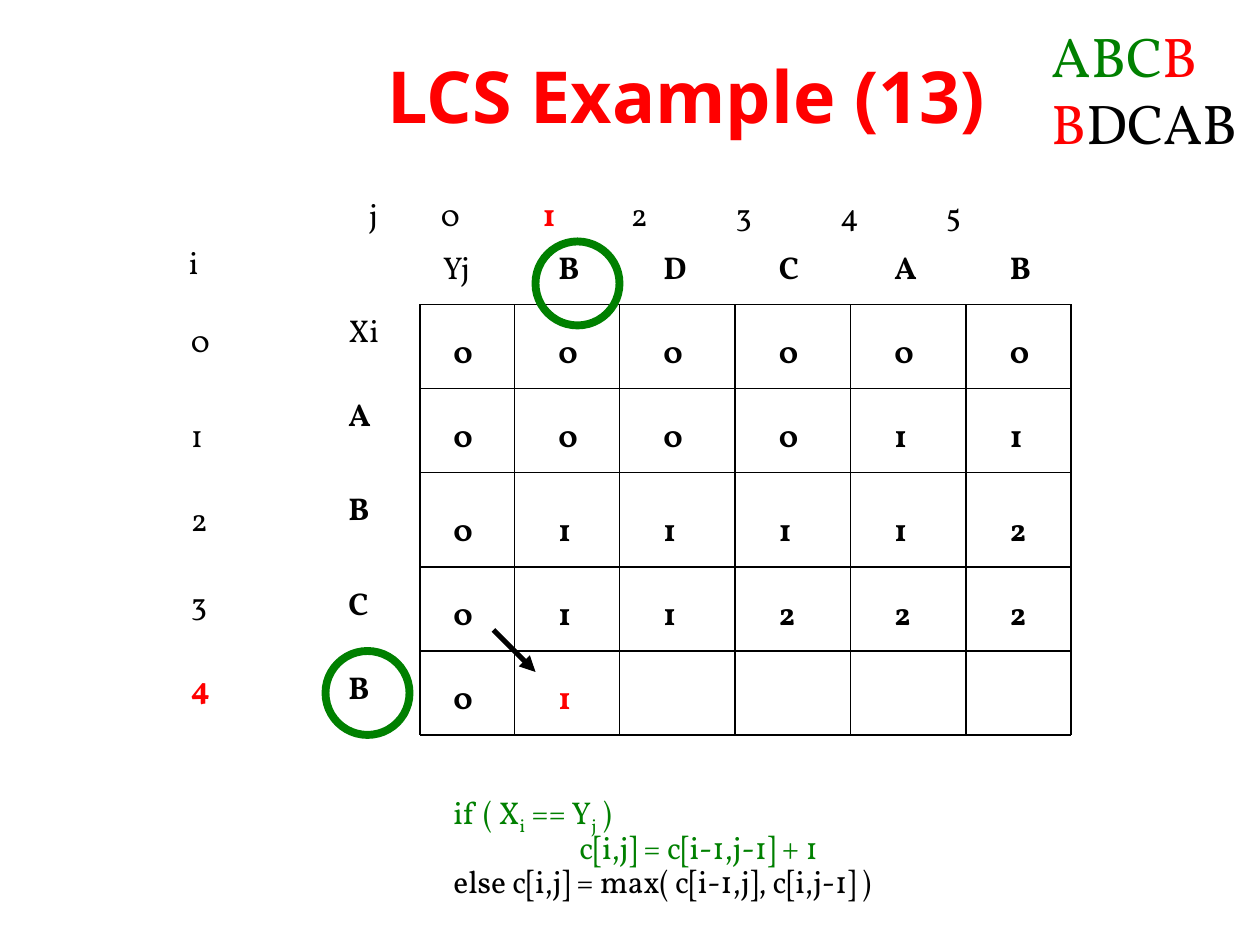
from lxml.etree import SubElement
from pptx import Presentation
from pptx.dml.color import RGBColor
from pptx.enum.shapes import MSO_CONNECTOR, MSO_SHAPE
from pptx.enum.text import MSO_ANCHOR, PP_ALIGN
from pptx.oxml.ns import qn
from pptx.util import Inches, Pt

BLACK = RGBColor(0, 0, 0)
RED = RGBColor(255, 0, 0)
GREEN = RGBColor(0, 128, 0)
BODY_FONT, TITLE_FONT = "Vollkorn", "Noto Sans"

TITLE = "LCS Example (13)"
STRINGS = [
    [("ABC", GREEN), ("B", RED)],
    [("B", RED), ("DCAB", BLACK)],
]
SCORES = ["000000", "000011", "011112", "011222", "01"]
CURRENT = (4, 1)
COLUMN_LETTERS = ["Yj", "B", "D", "C", "A", "B"]
ROW_LETTERS = ["Xi", "A", "B", "C", "B"]
COLUMN_INDEXES = ["j", "0", "1", "2", "3", "4", "5"]
INDEX_TABS = [0.57, 1.38, 2.08, 2.91, 3.74, 4.58]  # inches from the j
# Runs are (text, baseline shift); each line has an indent in inches.
RECURRENCE = [
    (2, GREEN, [("if ( X", 0), ("i", -25), (" == Y", 0), ("j", -25), (" )", 0)]),
    (3, GREEN, [("c[i,j] = c[i-1,j-1] + 1", 0)]),
    (2, BLACK, [("else c[i,j] = max( c[i-1,j], c[i,j-1] )", 0)]),
]

# The layout grid is in twelfths of an inch.
COLUMN_EDGES = [40, 49, 59, 70, 81, 92, 102]
ROW_EDGES = [29, 37, 45, 54, 62, 70]
COLUMN_TEXT = [42, 52, 62, 73, 84, 95]
ROW_TEXT = [bottom - 6 for bottom in ROW_EDGES[1:]]
ROW_LETTER_TOPS = [29, 37, 46, 55, 63]
ROW_INDEX_TOPS = [30, 39, 47, 55, 63]
HEADER_TOP = 23
INDEX_WIDTH, LETTER_WIDTH, PAIR_WIDTH = 4.4, 5.2, 6.4
CIRCLES = [(31, 62), (51, 23)]
ARROW = (47, 60, 51, 64)


def grid(*units):
    return [Inches(unit / 12) for unit in units]


def style(font, size=18, color=BLACK, bold=False, name=BODY_FONT):
    font.size, font.bold, font.name = Pt(size), bold, name
    font.color.rgb = color


def add_frame(slide, left, top, width, height):
    frame = slide.shapes.add_textbox(left, top, width, height).text_frame
    frame.word_wrap = True
    return frame


def add_label(slide, text, left, top, width=INDEX_WIDTH, **look):
    paragraph = add_frame(slide, *grid(left, top, width, 6)).paragraphs[0]
    paragraph.text = text
    style(paragraph.font, **look)


def add_line(slide, ends, width):
    line = slide.shapes.add_connector(MSO_CONNECTOR.STRAIGHT, *grid(*ends))
    line.line.color.rgb = BLACK
    line.line.width = Pt(width)
    SubElement(line._element.spPr, qn("a:effectLst"))
    return line


def add_scores(slide):
    for x in COLUMN_EDGES:
        add_line(slide, (x, ROW_EDGES[0], x, ROW_EDGES[-1]), 0.75)
    for y in ROW_EDGES:
        add_line(slide, (COLUMN_EDGES[0], y, COLUMN_EDGES[-1], y), 0.75)
    for r, scores in enumerate(SCORES):
        for c, score in enumerate(scores):
            add_label(slide, score, COLUMN_TEXT[c], ROW_TEXT[r], bold=True,
                      color=RED if (r, c) == CURRENT else BLACK)


def add_headers(slide):
    paragraph = add_frame(slide, Inches(2.83), Inches(1.5),
                          Inches(5.54), Inches(0.4)).paragraphs[0]
    for position, index in enumerate(COLUMN_INDEXES):
        run = paragraph.add_run()
        run.text = index if position == 0 else "\t" + index
        current = position == CURRENT[1] + 1
        style(run.font, color=RED if current else BLACK, bold=current)
    tabs = SubElement(paragraph._p.get_or_add_pPr(), qn("a:tabLst"))
    for stop in INDEX_TABS:
        SubElement(tabs, qn("a:tab"), pos=str(Inches(stop)), algn="l")

    for c, (letter, left) in enumerate(zip(COLUMN_LETTERS, COLUMN_TEXT)):
        add_label(slide, letter, left - (c == 0), HEADER_TOP,
                  LETTER_WIDTH if c else PAIR_WIDTH, bold=c > 0)
    add_label(slide, "i", 16.8, 22.56, 3.5)
    for r, letter in enumerate(ROW_LETTERS):
        add_label(slide, letter, 32, ROW_LETTER_TOPS[r],
                  LETTER_WIDTH if r else PAIR_WIDTH, bold=r > 0)
        current = r == CURRENT[0]
        add_label(slide, str(r), 17, ROW_INDEX_TOPS[r],
                  color=RED if current else BLACK, bold=current)


def add_recurrence(slide):
    frame = add_frame(slide, Inches(1.5), Inches(6.25), Inches(6.75), Inches(1.18))
    for number, (indent, color, pieces) in enumerate(RECURRENCE):
        paragraph = frame.add_paragraph() if number else frame.paragraphs[0]
        paragraph.line_spacing = 0.9
        paragraph._p.get_or_add_pPr().set("marL", str(Inches(indent)))
        for text, shift in pieces:
            run = paragraph.add_run()
            run.text = text
            style(run.font, color=color)
            if shift:
                run.font._element.set("baseline", str(shift * 1000))


def add_marks(slide):
    """Circle the matching letters and point to the current score."""
    for left, top in CIRCLES:
        circle = slide.shapes.add_shape(MSO_SHAPE.OVAL, *grid(left, top, 8, 8))
        circle.shadow.inherit = False
        circle.fill.background()
        circle.line.color.rgb = GREEN
        circle.line.width = Pt(4.5)
    arrow = add_line(slide, ARROW, 3)
    SubElement(arrow.line._get_or_add_ln(), qn("a:tailEnd"), type="triangle")


def add_strings(slide):
    frame = add_frame(slide, Inches(8.25), Inches(0.12), Inches(1.75), Inches(1.17))
    for number, pieces in enumerate(STRINGS):
        paragraph = frame.add_paragraph() if number else frame.paragraphs[0]
        for text, color in pieces:
            run = paragraph.add_run()
            run.text = text
            style(run.font, size=32, color=color)


def main():
    deck = Presentation()
    deck.slide_width, deck.slide_height = Inches(10), Inches(7.5)
    slide = deck.slides.add_slide(deck.slide_layouts[6])

    heading = add_frame(slide, Inches(0.91), Inches(0.25), Inches(9.08), Inches(1))
    heading.vertical_anchor = MSO_ANCHOR.MIDDLE
    heading.text = TITLE
    heading.paragraphs[0].alignment = PP_ALIGN.CENTER
    style(heading.paragraphs[0].font, size=41, color=RED, bold=True, name=TITLE_FONT)

    add_scores(slide)
    add_headers(slide)
    add_recurrence(slide)
    add_marks(slide)
    add_strings(slide)
    deck.save("out.pptx")


if __name__ == "__main__":
    main()
